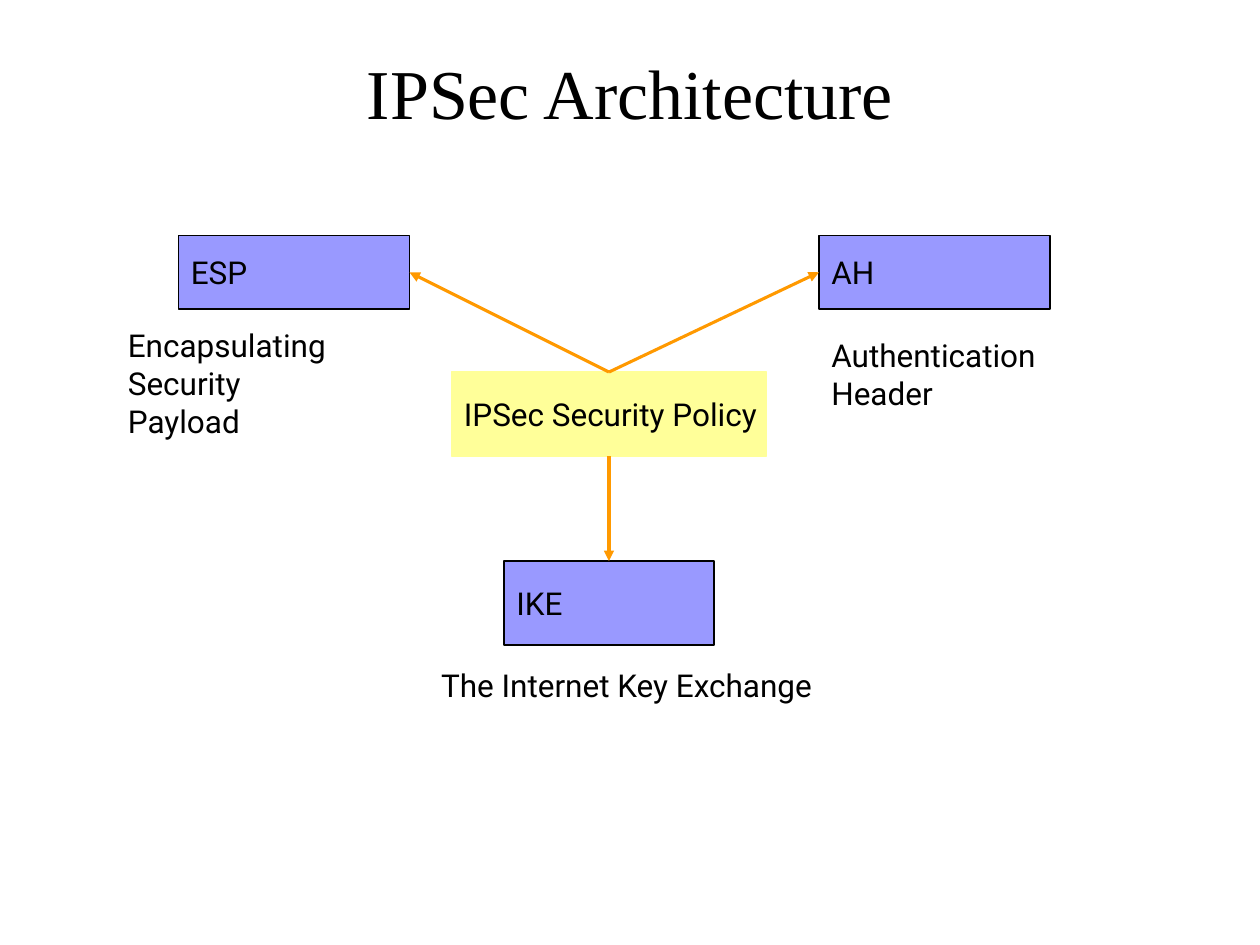
from dataclasses import dataclass

from lxml.etree import SubElement
from pptx import Presentation
from pptx.dml.color import RGBColor
from pptx.enum.shapes import MSO_CONNECTOR, MSO_SHAPE
from pptx.enum.text import MSO_ANCHOR, PP_ALIGN
from pptx.oxml.ns import qn
from pptx.util import Pt

BLACK, VIOLET, YELLOW, ORANGE = "000000", "9999FF", "FFFF99", "FF9900"
TOP, LEFT, BOTTOM, RIGHT = range(4)


@dataclass
class Box:
    text: str
    left: float
    top: float
    width: float
    height: float
    fill: str = VIOLET
    line: str = BLACK


@dataclass
class Label:
    lines: list[str]
    left: float
    top: float
    width: float
    height: float


@dataclass
class Arrow:
    start_side: int
    target: str
    end_side: int


BOXES = [
    Box("ESP", 102, 134.6, 132, 42),
    Box("AH", 468, 134.6, 132, 42),
    Box("IKE", 288, 320.6, 120, 48),
    Box("IPSec Security Policy", 258, 212.6, 180, 48, YELLOW, YELLOW),
]
ARROWS = [
    Arrow(TOP, "ESP", RIGHT),
    Arrow(TOP, "AH", LEFT),
    Arrow(BOTTOM, "IKE", TOP),
]
LABELS = [
    Label(["Encapsulating Security", "Payload"], 66, 183, 144, 72),
    Label(["Authentication Header"], 468, 188.6, 144, 50),
    Label(["The Internet Key Exchange"], 245, 377, 240, 29),
]


def rgb(value: str) -> RGBColor:
    return RGBColor.from_string(value)


def style_paragraph(p, size: float, name: str, align: PP_ALIGN) -> None:
    p.alignment = align
    p.font.size = Pt(size)
    p.font.name = name
    p.font.color.rgb = rgb(BLACK)


def write_text(tf, lines: list[str], anchor: MSO_ANCHOR) -> None:
    tf.word_wrap = True
    tf.vertical_anchor = anchor
    tf.margin_right = 0
    tf.text = "\n".join(lines)
    for p in tf.paragraphs:
        style_paragraph(p, 18, "Roboto", PP_ALIGN.LEFT)


def add_title(s, text: str) -> None:
    title = s.shapes.title
    title.left, title.top, title.width, title.height = Pt(36), Pt(21.6), Pt(648), Pt(61.2)
    tf = title.text_frame
    tf.text = text
    tf.vertical_anchor = MSO_ANCHOR.MIDDLE
    style_paragraph(tf.paragraphs[0], 40, "Times New Roman", PP_ALIGN.CENTER)


def add_box(s, box: Box):
    sp = s.shapes.add_shape(MSO_SHAPE.RECTANGLE, Pt(box.left), Pt(box.top),
                            Pt(box.width), Pt(box.height))
    sp.shadow.inherit = False
    sp.fill.solid()
    sp.fill.fore_color.rgb = rgb(box.fill)
    sp.line.color.rgb = rgb(box.line)
    sp.line.width = Pt(0.75)
    write_text(sp.text_frame, [box.text], MSO_ANCHOR.MIDDLE)
    return sp


def add_arrow(s, start, start_side: int, end, end_side: int) -> None:
    line = s.shapes.add_connector(MSO_CONNECTOR.STRAIGHT, 0, 0, 0, 0)
    line.begin_connect(start, start_side)
    line.end_connect(end, end_side)
    line.line.color.rgb = rgb(ORANGE)
    line.line.width = Pt(1.75)
    SubElement(line.line._get_or_add_ln(), qn("a:tailEnd"), type="triangle")
    SubElement(line._element.spPr, qn("a:effectLst"))


def add_label(s, label: Label) -> None:
    sp = s.shapes.add_textbox(Pt(label.left), Pt(label.top),
                              Pt(label.width), Pt(label.height))
    write_text(sp.text_frame, label.lines, MSO_ANCHOR.TOP)


def main() -> None:
    prs = Presentation()
    prs.slide_width, prs.slide_height = Pt(720), Pt(540)
    s = prs.slides.add_slide(prs.slide_layouts[5])
    add_title(s, "IPSec Architecture")
    shapes = {box.text: add_box(s, box) for box in BOXES}
    policy = shapes["IPSec Security Policy"]
    for arrow in ARROWS:
        add_arrow(s, policy, arrow.start_side, shapes[arrow.target], arrow.end_side)
    for label in LABELS:
        add_label(s, label)
    prs.save("out.pptx")


if __name__ == "__main__":
    main()
